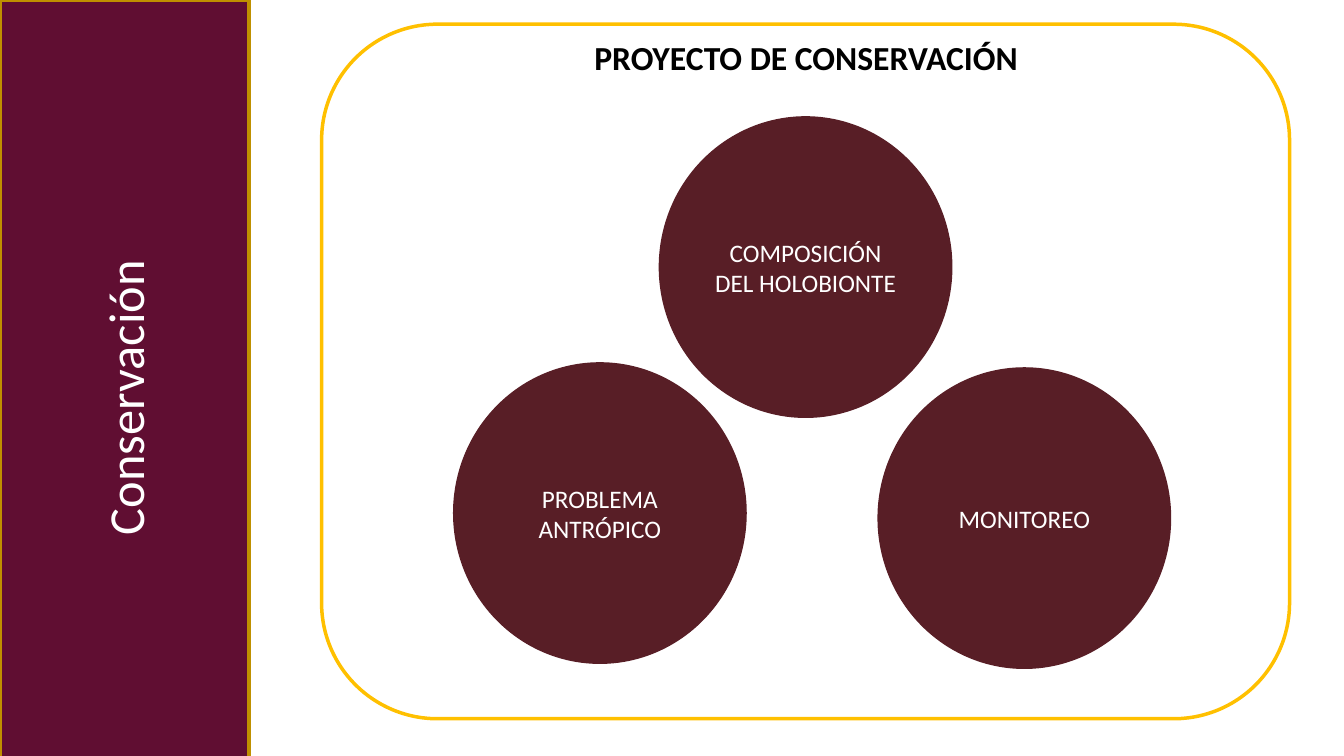
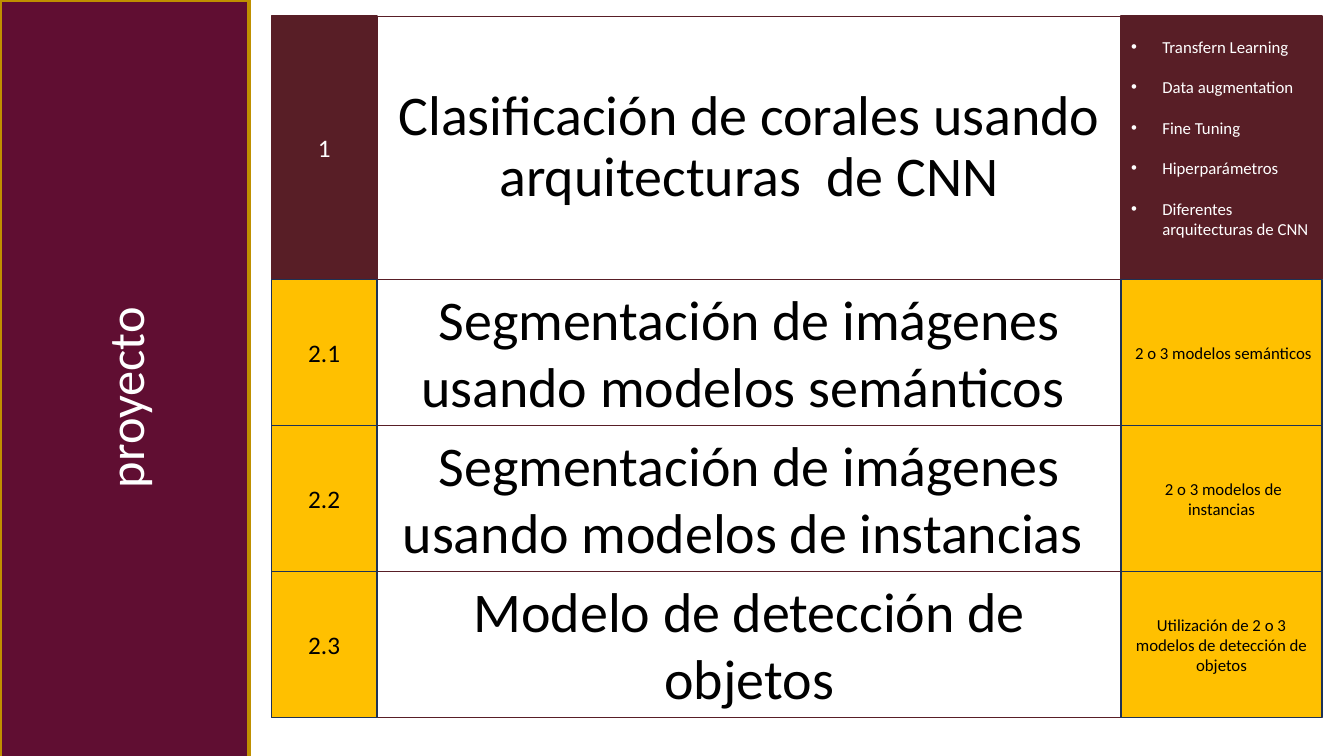
import pptx
import pptx.util
import pptx.dml.color
import pptx.enum.shapes
import pptx.enum.text
from lxml import etree

Inches, Pt = pptx.util.Inches, pptx.util.Pt
SHAPE = pptx.enum.shapes.MSO_SHAPE
ALIGN = pptx.enum.text.PP_ALIGN
ANCHOR = pptx.enum.text.MSO_ANCHOR

# Content
PROJECT_HEADING = "PROYECTO DE CONSERVACIÓN"
CIRCLES = [  # text, left, top
    ("PROBLEMA ANTRÓPICO", 4.5, 3.6),
    ("COMPOSICIÓN DEL HOLOBIONTE", 6.54, 1.16),
    ("MONITOREO", 8.71, 3.65),
]
ROWS = [  # number, topic, details
    ("1", "Clasificación de corales usando\varquitecturas  de CNN",
     ["Transfern Learning", "Data augmentation", "Fine Tuning",
      "Hiperparámetros", "Diferentes arquitecturas de CNN"]),
    ("2.1", "Segmentación de imágenes usando modelos semánticos ",
     [" 2 o 3 modelos semánticos"]),
    ("2.2", "Segmentación de imágenes usando modelos de instancias ",
     [" 2 o 3 modelos de instancias"]),
    ("2.3", "Modelo de detección de objetos",
     ["Utilización de 2 o 3 modelos de detección de objetos"]),
]

# Theme
THEME = {
    "font": "Calibri",
    "colours": {"band": "600E32", "band_edge": "BF9000", "wine": "581E26",
                "gold": "FFC000", "navy": "1E3256", "white": "FFFFFF",
                "black": "000000"},
    "sizes": {"side": 36, "heading": 24, "topic": 40, "label": 18, "detail": 12},
}
WINE_STYLE = {"fill": "wine", "line": ("wine", 1), "colour": "white"}
GOLD_STYLE = {"fill": "gold", "line": ("navy", 1), "colour": "black"}
TOPIC_STYLE = {"line": ("wine", 0.75), "colour": "black", "size": "topic"}

# Layout in inches
CIRCLE_SIZE = (2.9, 2.98)
GRID_LEFT, GRID_TOP = 2.69, 0.16
COLUMN_WIDTHS = (1.05, 7.38, 1.99)
ROW_HEIGHTS = (2.61, 1.45, 1.45, 1.45)
BULLET_INDENT = 0.31


def colour_of(name):
    return pptx.dml.color.RGBColor.from_string(THEME["colours"][name])


def write(shape, texts, size="label", colour="black", bold=False,
          anchor=ANCHOR.MIDDLE, **paragraph_format):
    frame = shape.text_frame
    for name, value in {"word_wrap": True, "vertical_anchor": anchor}.items():
        setattr(frame, name, value)
    for index, text in enumerate(texts):
        paragraph = frame.paragraphs[0] if index == 0 else frame.add_paragraph()
        paragraph.text = text
        for name, value in {"alignment": ALIGN.CENTER, **paragraph_format}.items():
            if index or name != "space_before":
                setattr(paragraph, name, value)
        for run in paragraph.runs:
            font_format = {"name": THEME["font"], "bold": bold,
                           "size": Pt(THEME["sizes"][size])}
            for name, value in font_format.items():
                setattr(run.font, name, value)
            run.font.color.rgb = colour_of(colour)


def add_block(slide, kind, box, line, fill=None, texts=(), **text_format):
    shape = slide.shapes.add_shape(kind, *map(Inches, box))
    shape.shadow.inherit = False
    if fill:
        shape.fill.solid()
        shape.fill.fore_color.rgb = colour_of(fill)
    else:
        shape.fill.background()
    shape.line.color.rgb = colour_of(line[0])
    shape.line.width = Pt(line[1])
    write(shape, texts, **text_format)
    return shape


def add_text(slide, box, text, **text_format):
    textbox = slide.shapes.add_textbox(*map(Inches, box))
    write(textbox, [text], anchor=ANCHOR.TOP, **text_format)
    return textbox


def add_side_band(slide, title):
    add_block(slide, SHAPE.RECTANGLE, (0, 0, 2.47, 7.6), ("band_edge", 3), "band")
    textbox = add_text(slide, (-1.87, 3.59, 6.21, 0.71), title,
                       size="side", colour="white")
    textbox.rotation = 270


def add_bullets(shape):
    for paragraph in shape.text_frame.paragraphs:
        properties = paragraph._p.get_or_add_pPr()
        properties.set("marL", str(Inches(BULLET_INDENT)))
        properties.set("indent", str(-Inches(BULLET_INDENT)))
        for tag, attribute, value in (("buFont", "typeface", "Arial"),
                                      ("buChar", "char", "•")):
            element = etree.SubElement(properties, pptx.oxml.ns.qn("a:" + tag))
            element.set(attribute, value)


def build_conservation(slide):
    add_side_band(slide, "Conservación")
    add_block(slide, SHAPE.ROUNDED_RECTANGLE, (3.19, 0.24, 9.6, 6.89),
              ("gold", 2.5), "white")
    for text, left, top in CIRCLES:
        add_block(slide, SHAPE.OVAL, (left, top, *CIRCLE_SIZE),
                  texts=[text], **WINE_STYLE)
    add_text(slide, (5.17, 0.32, 5.65, 0.5), PROJECT_HEADING,
             size="heading", bold=True)


def build_project(slide):
    add_side_band(slide, "proyecto")
    lefts = [GRID_LEFT + sum(COLUMN_WIDTHS[:i]) for i in range(len(COLUMN_WIDTHS))]
    for index, (number, topic, details) in enumerate(ROWS):
        first = index == 0
        top = GRID_TOP + sum(ROW_HEIGHTS[:index])
        number_box, topic_box, detail_box = [
            (left, top, width, ROW_HEIGHTS[index])
            for left, width in zip(lefts, COLUMN_WIDTHS)]
        style = WINE_STYLE if first else GOLD_STYLE
        add_block(slide, SHAPE.RECTANGLE, topic_box, texts=[topic],
                  anchor=ANCHOR.MIDDLE if first else ANCHOR.TOP,
                  line_spacing=0.9 if first else 1.0, **TOPIC_STYLE)
        add_block(slide, SHAPE.RECTANGLE, number_box, texts=[number], **style)
        bulleted = len(details) > 1
        detail = add_block(slide, SHAPE.RECTANGLE, detail_box, texts=details,
                           size="detail", space_before=Pt(14.5),
                           alignment=ALIGN.LEFT if bulleted else ALIGN.CENTER,
                           **style)
        if bulleted:
            add_bullets(detail)
            detail.text_frame.margin_bottom = Inches(0.25)


def main():
    presentation = pptx.Presentation()
    presentation.slide_width = Inches(13.33)
    presentation.slide_height = Inches(7.5)
    for build in (build_conservation, build_project):
        build(presentation.slides.add_slide(presentation.slide_layouts[6]))
    presentation.save("out.pptx")


if __name__ == "__main__":
    main()
